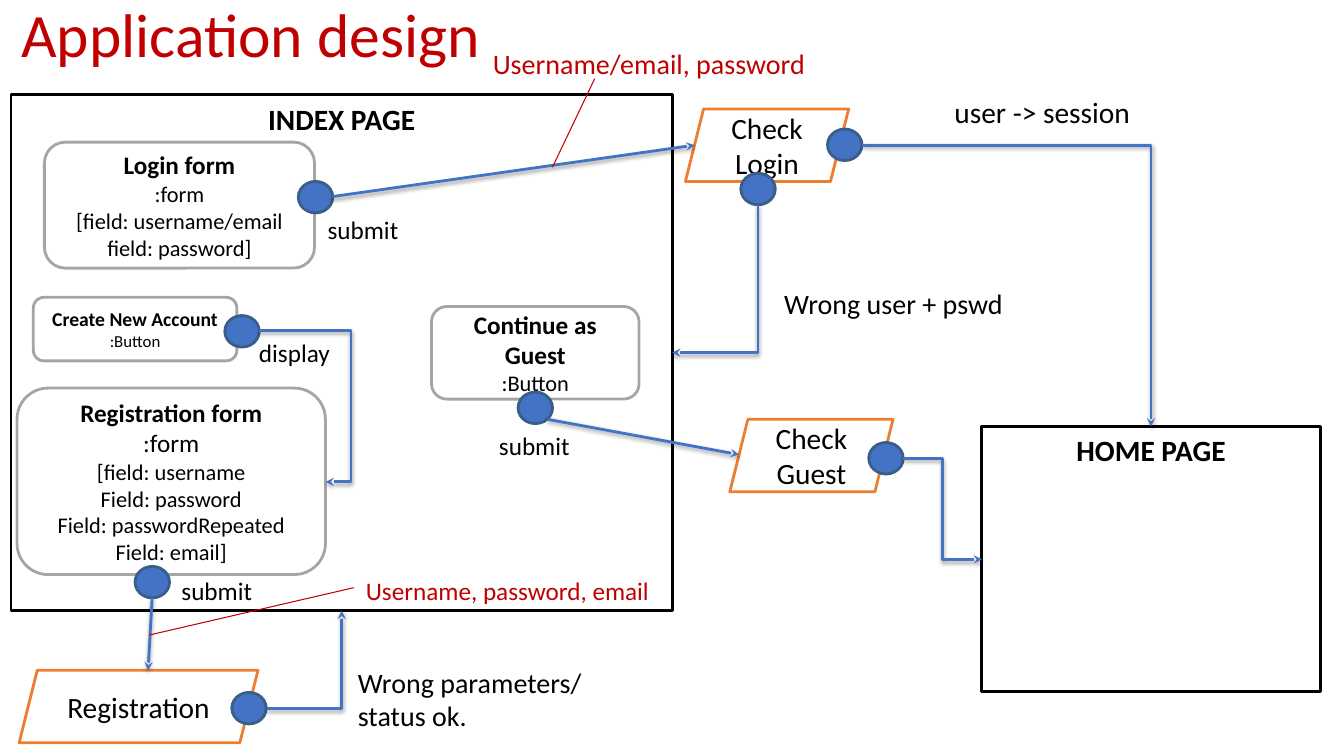
from dataclasses import dataclass
from lxml import etree
from pptx import Presentation
from pptx import util as u
from pptx.dml.color import RGBColor
from pptx.enum import shapes, text
from pptx.oxml import ns

KIND = shapes.MSO_SHAPE
LINK = shapes.MSO_CONNECTOR


@dataclass(frozen=True)
class Theme:
    font: str = "Calibri"
    ink: str = "000000"
    paper: str = "FFFFFF"
    accent: str = "C00000"
    form: str = "A5A5A5"
    action: str = "ED7D31"
    flow: str = "4472C4"
    dot_edge: str = "395E89"
    title: int = 44
    heading: int = 21
    label: int = 20
    body: int = 18
    field: int = 16
    small: int = 14
    tiny: int = 12
    stroke: float = 2
    hairline: float = 0.75


def rgb(value):
    return RGBColor.from_string(value)


def sub(parent, tag, **attrs):
    return etree.SubElement(parent, ns.qn(tag), {k: str(v) for k, v in attrs.items()})


def write(tf, content, size, color, font, bold=False, align=text.PP_ALIGN.LEFT, spacing=None):
    p = tf.paragraphs[-1]
    if p.runs:
        p = tf.add_paragraph()
    p.alignment = align
    if spacing:
        p.line_spacing = spacing
    r = p.add_run()
    r.text = content
    r.font.size = u.Pt(size)
    r.font.name = font
    r.font.bold = bold
    r.font.color.rgb = rgb(color)


class Diagram:
    def __init__(self, slide, theme):
        self.s = slide
        self.t = theme

    def frame(self, sp, anchor):
        tf = sp.text_frame
        tf.word_wrap = True
        tf.vertical_anchor = anchor
        tf.margin_left = tf.margin_right = u.Pt(8.6)
        tf.margin_top = tf.margin_bottom = u.Pt(4.3)
        return tf

    def shape(self, kind, box, fill, line):
        sp = self.s.shapes.add_shape(kind, *map(u.Pt, box))
        sp.shadow.inherit = False
        sp.fill.solid()
        sp.fill.fore_color.rgb = rgb(fill)
        sp.line.color.rgb = rgb(line)
        sp.line.width = u.Pt(self.t.stroke)
        return sp

    def block(self, kind, box, line, lines, anchor=text.MSO_ANCHOR.MIDDLE):
        tf = self.frame(self.shape(kind, box, self.t.paper, line), anchor)
        for content, size, bold in lines:
            write(tf, content, size, self.t.ink, self.t.font, bold, text.PP_ALIGN.CENTER)

    def page(self, box, name):
        self.block(KIND.RECTANGLE, box, self.t.ink, [(name, self.t.heading, True)],
                   text.MSO_ANCHOR.TOP)

    def form(self, box, lines):
        self.block(KIND.ROUNDED_RECTANGLE, box, self.t.form, lines)

    def action(self, box, *words):
        self.block(KIND.PARALLELOGRAM, box, self.t.action,
                   [(word, self.t.heading, False) for word in words])

    def label(self, box, content, size, color, anchor=text.MSO_ANCHOR.TOP, spacing=None):
        sp = self.s.shapes.add_textbox(*map(u.Pt, box))
        write(self.frame(sp, anchor), content, size, color, self.t.font, spacing=spacing)

    def dot(self, x, y):
        self.shape(KIND.OVAL, (x, y, 24.6, 22.5), self.t.flow, self.t.dot_edge)

    def connector(self, kind, start, end, color, width):
        sp = self.s.shapes.add_connector(kind, *map(u.Pt, start + end))
        sp.line.color.rgb = rgb(color)
        sp.line.width = u.Pt(width)
        return sp, sub(sp._element.spPr, "a:effectLst")

    def pointer(self, start, end):
        self.connector(LINK.STRAIGHT, start, end, self.t.accent, self.t.hairline)

    def flow(self, start, end, kind=LINK.STRAIGHT):
        sp, effects = self.connector(kind, start, end, self.t.flow, self.t.stroke)
        sub(sp.line._get_or_add_ln(), "a:tailEnd", type="stealth")
        shadow = sub(effects, "a:outerShdw", blurRad=u.Pt(3.1), dist=u.Pt(1.6),
                     dir=90 * 60000, rotWithShape=0)
        sub(sub(shadow, "a:srgbClr", val=self.t.ink), "a:alpha", val=38000)
        return sp

    def corner(self, start, end):
        sp = self.flow(start, end, LINK.ELBOW)
        sp._element.spPr.find(ns.qn("a:prstGeom")).set("prst", "bentConnector2")
        return sp

    def corner_down_left(self, start, end):
        (x1, y1), (x2, y2) = start, end
        cx, cy = (x1 + x2) / 2, (y1 + y2) / 2
        dx, dy = (y2 - y1) / 2, (x1 - x2) / 2
        sp = self.corner((cx - dx, cy - dy), (cx + dx, cy + dy))
        sp._element.spPr.find(ns.qn("a:xfrm")).set("rot", str(90 * 60000))

    def elbow(self, start, end, bend=0.5):
        sp = self.flow(start, end, LINK.ELBOW)
        geom = sp._element.spPr.find(ns.qn("a:prstGeom"))
        sub(geom.find(ns.qn("a:avLst")), "a:gd", name="adj1", fmla=f"val {round(bend * 100000)}")


def main():
    prs = Presentation()
    prs.slide_width, prs.slide_height = u.Pt(960), u.Pt(540)
    t = Theme()
    d = Diagram(prs.slides.add_slide(prs.slide_layouts[6]), t)

    d.label((6.5, 4.3, 346.3, 45.4), "Application design", t.title, t.accent,
            text.MSO_ANCHOR.MIDDLE, 0.9)
    d.page((7.9, 67.7, 472.3, 368.6), "INDEX PAGE")
    d.page((701.3, 304.6, 241.9, 189.4), "HOME PAGE")

    d.form((31.7, 101.5, 193, 90), [
        ("Login form", t.body, True), (":form", t.field, False),
        ("[field: username/email", t.field, False), ("field: password]", t.field, False)])
    d.form((23.8, 212.4, 145.4, 45.4), [
        ("Create New Account", t.small, True), (":Button", t.tiny, False)])
    d.form((12.2, 277.2, 220.3, 133.2), [
        ("Registration form", t.body, True), (":form", t.body, False),
        ("[field: username", t.field, False), ("Field: password", t.field, False),
        ("Field: passwordRepeated", t.field, False), ("Field: email]", t.field, False)])
    d.form((308.2, 218.9, 148.3, 66.2), [
        ("Continue as Guest", t.body, True), (":Button", t.field, False)])

    d.action((489.6, 77.8, 116.6, 51.8), "Check", "Login")
    d.action((521.3, 299.5, 116.6, 51.8), "Check", "Guest")
    d.action((13.7, 478.8, 170.6, 51.8), "Registration")

    for x, y, event in ((225.4, 149, "submit"), (176.4, 236.9, "display"),
                        (347.8, 303.1, "submit"), (121, 406.8, "submit")):
        d.label((x, y, 71.3, 28.8), event, t.body, t.ink)
    d.label((673.2, 62.6, 163.4, 28.8), "user -> session", t.heading, t.ink)
    d.label((551.5, 200.2, 212.4, 28.8), "Wrong user + pswd", t.label, t.ink)
    d.label((247, 470.9, 212.4, 59), "Wrong parameters/ status ok.", t.label, t.ink)
    d.label((343.4, 28.8, 253.4, 32.4), "Username/email, password", t.label, t.accent)
    d.label((252.7, 406.8, 220.3, 25.9), "Username, password, email", t.body, t.accent)

    for x, y in ((213.1, 129.6), (160.6, 225.4), (96.5, 404.6), (370.1, 280.1),
                 (591.1, 92.2), (529.2, 123.8), (620.6, 316.1), (165.6, 494.6)):
        d.dot(x, y)

    d.flow((237.6, 140.4), (496.1, 103.7))
    d.flow((108.7, 427), (105.8, 478.8))
    d.flow((391, 299.5), (527.8, 324.7))
    d.corner((615.6, 103.7), (822.2, 304.6))
    d.corner((190.8, 506.2), (244.1, 436.3))
    d.corner_down_left((541.4, 146.2), (480.2, 252))
    d.elbow((645.1, 327.6), (701.3, 399.6))
    d.elbow((185, 236.2), (232.6, 344.2), 1.38)
    d.pointer((424.8, 56.2), (394.6, 119.5))
    d.pointer((252.7, 419.8), (106.6, 453.6))

    prs.save("out.pptx")


if __name__ == "__main__":
    main()
